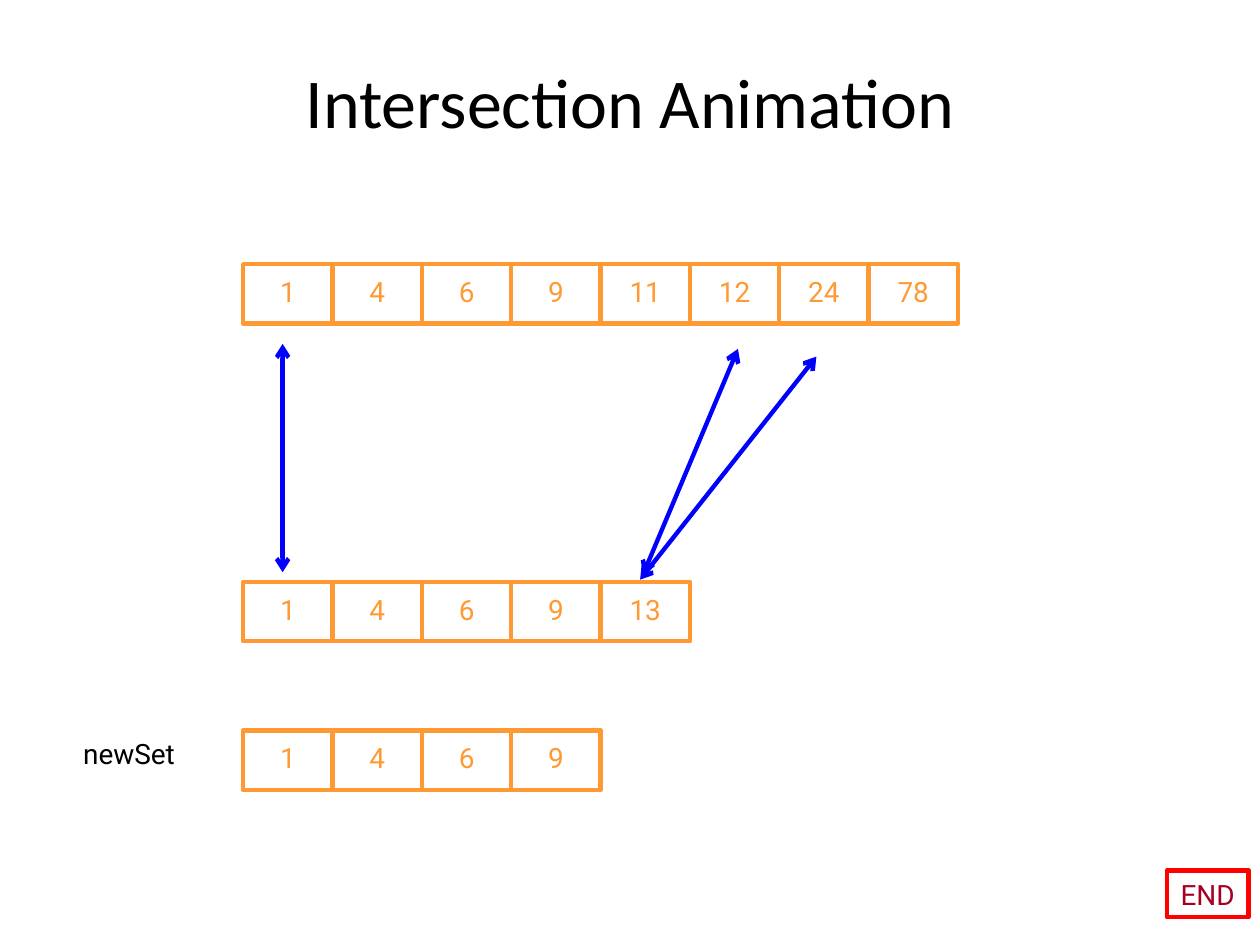
"""Build the slide that shows the intersection of two sorted sets."""
from lxml import etree
from pptx import Presentation
from pptx.dml.color import RGBColor
from pptx.enum.shapes import MSO_CONNECTOR, MSO_SHAPE
from pptx.enum.text import MSO_ANCHOR, PP_ALIGN
from pptx.oxml.ns import qn
from pptx.util import Pt

BLACK = RGBColor(0x00, 0x00, 0x00)
ORANGE = RGBColor(0xFF, 0x99, 0x33)
BLUE = RGBColor(0x00, 0x00, 0xFF)
RED = RGBColor(0xFF, 0x00, 0x00)
DARK_RED = RGBColor(0xA5, 0x00, 0x21)

RECTANGLE = MSO_SHAPE.RECTANGLE
STRAIGHT = MSO_CONNECTOR.STRAIGHT
MIDDLE = MSO_ANCHOR.MIDDLE
TOP = MSO_ANCHOR.TOP
CENTER = PP_ALIGN.CENTER

ROW_LEFT = 139
CELL_WIDTH = 51.05
CELL_HEIGHT = 34
TITLE_ONLY_LAYOUT = 5


def write_text(shape, text, size=16, font="Roboto", color=BLACK, anchor=MIDDLE,
               spacing=0.85, margins=(0, 0), wrap=False):
    frame = shape.text_frame
    frame.word_wrap = wrap
    frame.vertical_anchor = anchor
    frame.margin_left = frame.margin_right = Pt(margins[0])
    frame.margin_top = frame.margin_bottom = Pt(margins[1])
    paragraph = frame.paragraphs[0]
    paragraph.text = text
    paragraph.alignment = CENTER
    paragraph.line_spacing = spacing
    paragraph.font.size = Pt(size)
    paragraph.font.name = font
    paragraph.font.color.rgb = color


class SlideBuilder:
    def __init__(self, slide, line_width=2.5):
        self.slide = slide
        self.line_width = Pt(line_width)

    def title(self, text, left, top, width, height):
        title = self.slide.shapes.title
        title.left, title.top = Pt(left), Pt(top)
        title.width, title.height = Pt(width), Pt(height)
        write_text(title, text, size=40, font="Calibri", spacing=1, wrap=True)

    def box(self, text, left, top, width, height, line_color, **text_format):
        box = self.slide.shapes.add_shape(
            RECTANGLE, Pt(left), Pt(top), Pt(width), Pt(height))
        box.shadow.inherit = False
        box.fill.background()
        box.line.color.rgb = line_color
        box.line.width = self.line_width
        write_text(box, text, **text_format)

    def row(self, values, top):
        for index, value in enumerate(values):
            self.box(str(value), ROW_LEFT + index * CELL_WIDTH, top,
                     CELL_WIDTH, CELL_HEIGHT, ORANGE, color=ORANGE)

    def label(self, text, left, top, width, height):
        label = self.slide.shapes.add_textbox(
            Pt(left), Pt(top), Pt(width), Pt(height))
        write_text(label, text, anchor=TOP, wrap=True)

    def double_arrow(self, start_x, start_y, end_x, end_y):
        arrow = self.slide.shapes.add_connector(
            STRAIGHT, Pt(start_x), Pt(start_y), Pt(end_x), Pt(end_y))
        arrow.line.color.rgb = BLUE
        arrow.line.width = self.line_width
        properties = arrow.element.spPr
        line = properties.find(qn("a:ln"))
        for end in ("a:headEnd", "a:tailEnd"):
            etree.SubElement(line, qn(end), type="arrow")
        etree.SubElement(properties, qn("a:effectLst"))


def main():
    presentation = Presentation()
    presentation.slide_width, presentation.slide_height = Pt(720), Pt(540)
    layout = presentation.slide_layouts[TITLE_ONLY_LAYOUT]
    builder = SlideBuilder(presentation.slides.add_slide(layout))

    builder.title("Intersection Animation", 54, 32, 612, 51)
    builder.row([1, 4, 6, 9, 11, 12, 24, 78], 151)
    builder.row([1, 4, 6, 9, 13], 332.5)
    builder.row([1, 4, 6, 9], 417.5)
    builder.label("newSet", 42.5, 424, 62.5, 16.5)
    builder.box("END", 666.7, 497.5, 46.8, 26.6, RED,
                color=DARK_RED, spacing=1, margins=(7.2, 3.6))

    builder.double_arrow(161.5, 196.5, 161.5, 327)
    builder.double_arrow(421.7, 199.4, 367.5, 328.3)
    builder.double_arrow(466.5, 203.8, 365.8, 331.2)

    presentation.save("out.pptx")


if __name__ == "__main__":
    main()
